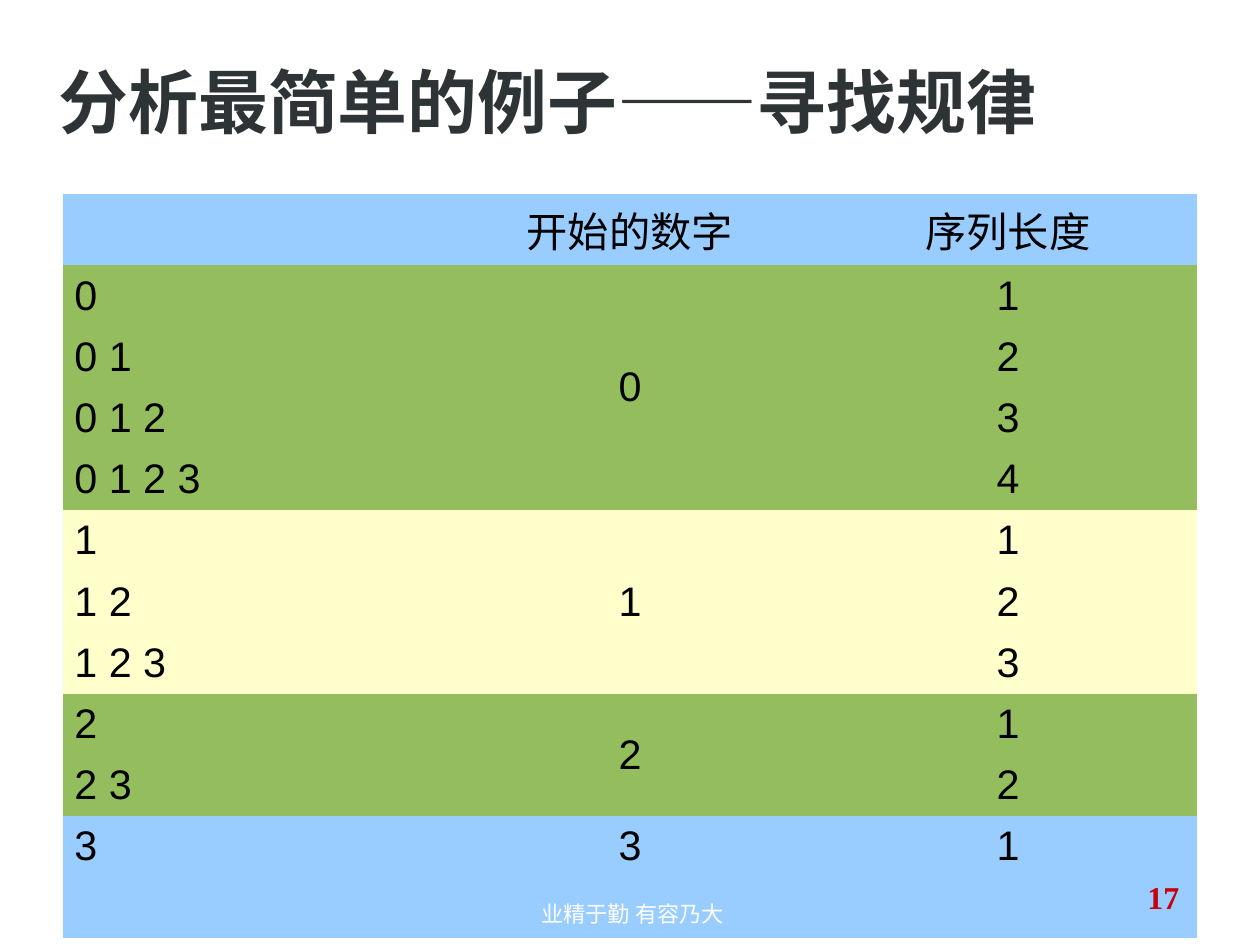
from pptx import Presentation
from pptx.dml.color import RGBColor
from pptx.enum.text import MSO_ANCHOR, MSO_AUTO_SIZE, PP_ALIGN
from pptx.util import Cm, Pt

LEFT, CENTER = PP_ALIGN.LEFT, PP_ALIGN.CENTER
TOP, MIDDLE = MSO_ANCHOR.TOP, MSO_ANCHOR.MIDDLE
NO_FIT = MSO_AUTO_SIZE.NONE
NO_GRID = "{2D5ABB26-0587-4C30-8999-92F81FD0307C}"
COLORS = {"title": "2E3436", "text": "000000", "blue": "99CCFF",
          "green": "94BD5E", "cream": "FFFFCC", "white": "FFFFFF",
          "red": "C5000B"}


def rgb(name):
    return RGBColor.from_string(COLORS[name])


class SlideBuilder:
    def __init__(self, prs):
        self.s = prs.slides.add_slide(prs.slide_layouts[5])

    def style(self, p, size, font, color, align=LEFT, bold=False):
        p.alignment = align
        p.font.size = Pt(size)
        p.font.name = font
        p.font.bold = bold
        p.font.color.rgb = rgb(color)

    def frame(self, sp, text, anchor):
        tf = sp.text_frame
        tf.text = text
        tf.word_wrap = True
        tf.auto_size = NO_FIT
        tf.vertical_anchor = anchor
        tf.margin_left = tf.margin_right = tf.margin_top = tf.margin_bottom = 0
        return tf.paragraphs[0]

    def title(self, text, x, y, w, h):
        sp = self.s.shapes.title
        sp.left, sp.top, sp.width, sp.height = Cm(x), Cm(y), Cm(w), Cm(h)
        self.style(self.frame(sp, text, MIDDLE), 44, "Karla", "title", bold=True)

    def text(self, text, x, y, w, h, size, color, align=LEFT, bold=False):
        sp = self.s.shapes.add_textbox(Cm(x), Cm(y), Cm(w), Cm(h))
        p = self.frame(sp, text, TOP)
        self.style(p, size, "Times New Roman", color, align, bold)

    def table(self, rows, fills, x, y, w, head_h, row_h):
        cols = len(rows[0])
        height = head_h + row_h * (len(rows) - 1)
        t = self.s.shapes.add_table(len(rows), cols, Cm(x), Cm(y),
                                    Cm(w), Cm(height)).table
        t.first_row = t.horz_banding = False
        t._tbl.tblPr[0].text = NO_GRID
        for col in t.columns:
            col.width = Cm(w / cols)
        for i, (row, fill) in enumerate(zip(rows, fills)):
            t.rows[i].height = Cm(row_h if i else head_h)
            for j, value in enumerate(row):
                cell = t.cell(i, j)
                cell.fill.solid()
                cell.fill.fore_color.rgb = rgb(fill)
                cell.vertical_anchor = MIDDLE
                cell.text = value
                self.style(cell.text_frame.paragraphs[0], 26, "Arial", "text",
                           CENTER if j else LEFT)
        return t


def main():
    prs = Presentation()
    prs.slide_width, prs.slide_height = Cm(28), Cm(21)
    slide = SlideBuilder(prs)
    slide.title("分析最简单的例子——寻找规律", 1.3, 0.48, 25.2, 3.5)

    # All runs of consecutive digits, grouped by starting digit
    digits = "0123"
    rows, fills, groups = [["", "开始的数字", "序列长度"]], ["blue"], []
    for start, fill in enumerate(["green", "cream", "green", "blue"]):
        first = len(rows)
        for end in range(start + 1, len(digits) + 1):
            label = digits[start] if end == start + 1 else ""
            rows.append([" ".join(digits[start:end]), label, str(end - start)])
            fills.append(fill)
        groups.append((first, len(rows) - 1))
    rows.append(["", "", ""])
    fills.append("blue")

    # Table with one merged cell per starting digit
    t = slide.table(rows, fills, 1.4, 4.31, 25.2, 1.5, 1.36)
    for first, last in groups:
        if last > first:
            t.cell(first, 1).merge(t.cell(last, 1))

    # Footer and page number
    slide.text("业精于勤 有容乃大", 9.63, 20, 8.86, 1, 14, "white", CENTER)
    slide.text("17", 25.5, 19.5, 1.5, 1, 20, "red", bold=True)
    prs.save("out.pptx")


if __name__ == "__main__":
    main()
